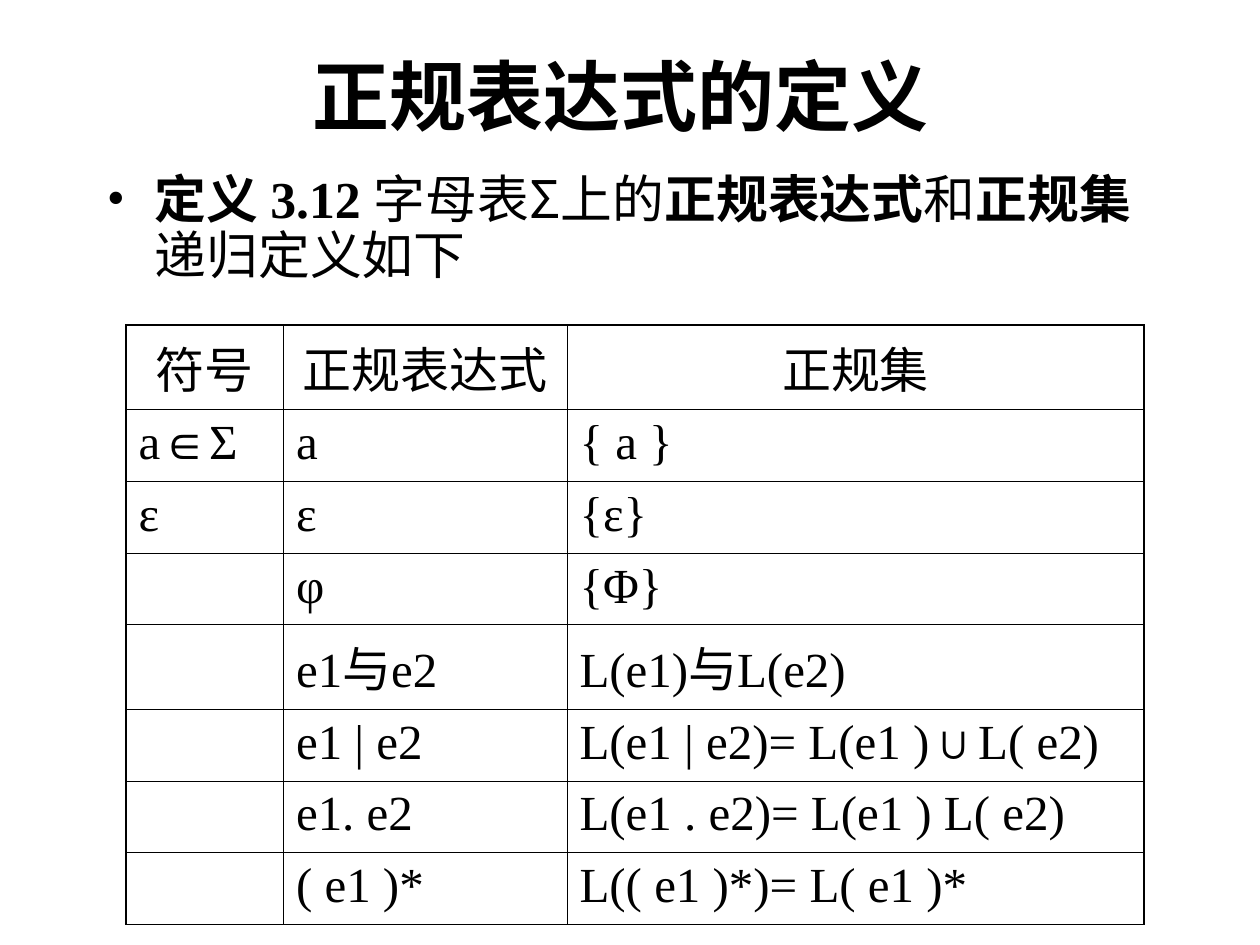
from lxml import etree
from pptx import Presentation, util as u
from pptx.dml.color import RGBColor
from pptx.enum import text
from pptx.oxml import ns

HUES = {"ink": "000000"}
SANS, SERIF = "Noto Sans CJK SC", "Times New Roman"
ALIGN = text.PP_ALIGN


class Deck:
    """Holds the style and the current slide."""

    def __init__(self):
        self.prs = Presentation()
        self.prs.slide_width, self.prs.slide_height = u.Inches(10), u.Inches(7.5)
        self.slide = self.prs.slides.add_slide(self.prs.slide_layouts[5])

    def sub(self, node, tag, **attrs):
        return etree.SubElement(node, ns.qn("a:" + tag), **attrs)

    def face(self, font, name, bold=None):
        font.name, font.bold = name, bold
        self.sub(font._element, "ea", typeface=SANS)

    def ink(self, font, size):
        font.size = u.Pt(size)
        font.color.rgb = RGBColor.from_string(HUES["ink"])

    def place(self, shape, x, y, w, h):
        shape.left, shape.top = u.Inches(x), u.Inches(y)
        shape.width, shape.height = u.Inches(w), u.Inches(h)

    def title(self, words, box):
        shape = self.slide.shapes.title
        self.place(shape, *box)
        frame = shape.text_frame
        frame.text = words
        frame.vertical_anchor = text.MSO_ANCHOR.MIDDLE
        para = frame.paragraphs[0]
        para.alignment = ALIGN.CENTER
        self.ink(para.font, 44)
        self.face(para.font, SANS, True)

    def bullet(self, runs, box):
        frame = self.slide.shapes.add_textbox(*map(u.Inches, box)).text_frame
        frame.word_wrap = True
        para = frame.paragraphs[0]
        para.line_spacing = 0.9
        props = para._p.get_or_add_pPr()
        props.set("marL", str(u.Inches(0.38)))
        props.set("indent", str(u.Inches(-0.38)))
        self.sub(props, "buFont", typeface=SERIF)
        self.sub(props, "buChar", char="•")
        self.ink(para.font, 29.6)
        for words, name, bold in runs:
            run = para.add_run()
            run.text = words
            self.face(run.font, name, bold)

    def border(self, cell, edges):
        props = cell._tc.get_or_add_tcPr()
        for side, outer in edges.items():
            line = self.sub(props, "ln" + side, w=str(u.Pt(1.08 if outer else 0.45)))
            fill = self.sub(line, "solidFill")
            self.sub(fill, "srgbClr", val=HUES["ink"])

    def table(self, rows, cols, spot, low, tall):
        highs = [tall if any("\u4e00" <= ch for ch in "".join(row)) else low for row in rows]
        box = (*spot, sum(cols), sum(highs))
        grid = self.slide.shapes.add_table(len(rows), len(cols), *map(u.Inches, box)).table
        grid.first_row = grid.horz_banding = False
        for col, wide in zip(grid.columns, cols):
            col.width = u.Inches(wide)
        for r, row in enumerate(rows):
            grid.rows[r].height = u.Inches(highs[r])
            for c, words in enumerate(row):
                cell = grid.cell(r, c)
                self.border(cell, {"L": c == 0, "R": c == len(cols) - 1,
                                   "T": r == 0, "B": r == len(rows) - 1})
                cell.fill.background()
                if words:
                    cell.text = words
                    para = cell.text_frame.paragraphs[0]
                    para.alignment = ALIGN.JUSTIFY if r else ALIGN.CENTER
                    self.ink(para.font, 28)
                    self.face(para.font, SERIF)


def main():
    deck = Deck()
    deck.title("正规表达式的定义 ", (0.75, 0.25, 8.5, 1))
    deck.bullet([
        ("定义 ", SANS, True),
        ("3.12 ", SERIF, True),
        ("字母表Σ上的", SANS, False),
        ("正规表达式", SANS, True),
        ("和", SANS, False),
        ("正规集", SANS, True),
        ("递归定义如下", SANS, False),
    ], (0.75, 1.33, 8.5, 1.17))
    deck.table([
        ("符号", "正规表达式", "正规集"),
        ("a∈Σ", "a", "{ a }"),
        ("ε", "ε", "{ε}"),
        ("", "φ", "{Φ}"),
        ("", "e1与e2", "L(e1)与L(e2)"),
        ("", "e1 | e2", "L(e1 | e2)= L(e1 )∪L( e2)"),
        ("", "e1. e2", "L(e1 . e2)= L(e1 ) L( e2)"),
        ("", "( e1 )*", "L(( e1 )*)= L( e1 )*"),
    ], (1.25, 2.25, 4.58), (1, 2.58), 0.57, 0.67)
    deck.prs.save("out.pptx")


if __name__ == "__main__":
    main()
